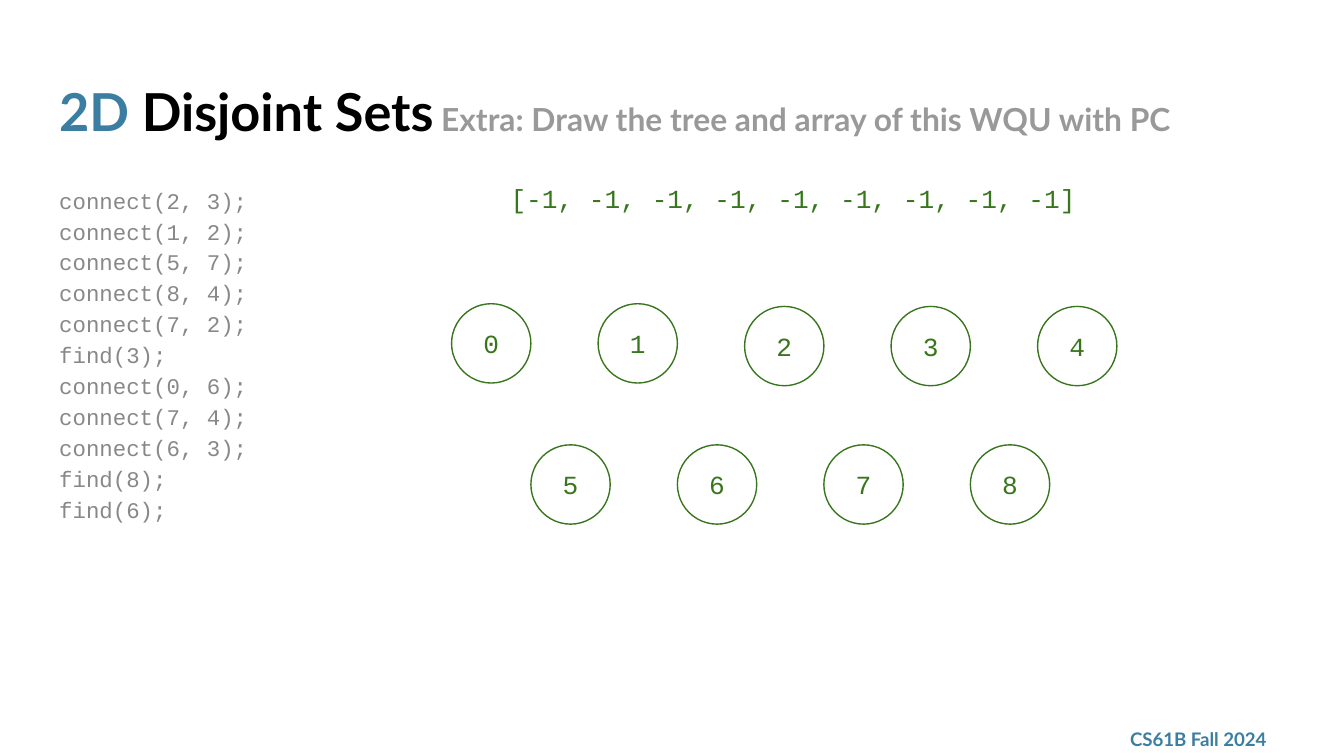
from pptx import Presentation
from pptx.dml.color import RGBColor
from pptx.enum.shapes import MSO_SHAPE as Preset
from pptx.enum.text import MSO_ANCHOR as Anchor, MSO_AUTO_SIZE as AutoSize, PP_ALIGN as Align
from pptx.oxml.xmlchemy import OxmlElement
from pptx.util import Inches, Pt

BLUE = RGBColor(0x3B, 0x7E, 0xA1)
BLACK = RGBColor(0, 0, 0)
GRAY = RGBColor(0x99, 0x99, 0x99)
CODE_GRAY = RGBColor(0x88, 0x88, 0x88)
GREEN = RGBColor(0x38, 0x76, 0x1D)
WHITE = RGBColor(0xFF, 0xFF, 0xFF)
SANS, MONO = "Lato", "Courier New"

TITLE = [
    ("2D ", 28, BLUE),
    ("Disjoint Sets", 28, BLACK),
    (" Extra: Draw the tree and array of this WQU with PC", 17, GRAY),
]
CALLS = [
    "connect(2, 3);", "connect(1, 2);", "connect(5, 7);", "connect(8, 4);",
    "connect(7, 2);", "find(3);", "connect(0, 6);", "connect(7, 4);",
    "connect(6, 3);", "find(8);", "find(6);",
]
PARENTS = [-1] * 9
FOOTER = "CS61B Fall 2024"

SLIDE_WIDTH = 10
SLIDE_HEIGHT = SLIDE_WIDTH * 9 / 16
MARGIN = 0.34
BODY_TOP = 1.26
NODE_SIZE = 0.59
NODE_PITCH = 1.09
NODE_ROWS = [
    (3.36, [(0, 2.26), (1, 2.26), (2, 2.28), (3, 2.28), (4, 2.28)]),
    (3.95, [(5, 3.31), (6, 3.31), (7, 3.31), (8, 3.31)]),
]


def place(shape, left, top, width, height):
    shape.left, shape.top = Inches(left), Inches(top)
    shape.width, shape.height = Inches(width), Inches(height)


def write(shape, paragraphs, font=SANS, bold=False, align=Align.LEFT,
          anchor=Anchor.TOP, spacing=1.0):
    frame = shape.text_frame
    frame.word_wrap = True
    frame.auto_size = AutoSize.NONE
    frame.vertical_anchor = anchor
    frame.margin_left = frame.margin_right = Inches(0.1)
    frame.margin_top = frame.margin_bottom = Inches(0.1)
    for index, runs in enumerate(paragraphs):
        paragraph = frame.add_paragraph() if index else frame.paragraphs[0]
        paragraph.alignment = align
        paragraph.line_spacing = spacing
        paragraph.space_before = paragraph.space_after = Pt(0)
        for text, size, color in runs:
            run = paragraph.add_run()
            run.text = text
            run.font.name, run.font.size, run.font.bold = font, Pt(size), bold
            run.font.color.rgb = color


def remove_bullets(shape):
    for paragraph in shape.text_frame.paragraphs:
        properties = paragraph._p.get_or_add_pPr()
        properties.set("marL", "0")
        properties.set("indent", "0")
        properties.append(OxmlElement("a:buNone"))


def add_outlined(slide, preset, box, line_color):
    shape = slide.shapes.add_shape(preset, *map(Inches, box))
    shape.shadow.inherit = False
    shape.fill.solid()
    shape.fill.fore_color.rgb = WHITE
    shape.line.color.rgb = line_color
    shape.line.width = Pt(0.75)
    return shape


def main():
    presentation = Presentation()
    presentation.slide_width = Inches(SLIDE_WIDTH)
    presentation.slide_height = Inches(SLIDE_HEIGHT)
    slide = presentation.slides.add_slide(presentation.slide_layouts[1])

    title, body = slide.placeholders
    place(title, MARGIN, 0.49, SLIDE_WIDTH - 2 * MARGIN, 0.63)
    write(title, [TITLE], bold=True)
    place(body, MARGIN, BODY_TOP, 2.53, 3.74)
    write(body, [[(call, 12, CODE_GRAY)] for call in CALLS], font=MONO, spacing=1.15)
    remove_bullets(body)

    footer = slide.shapes.add_textbox(*map(Inches, (8.31, 5.37, 1.35, 0.26)))
    write(footer, [[(FOOTER, 10, BLUE)]], bold=True, anchor=Anchor.MIDDLE)

    array = add_outlined(slide, Preset.RECTANGLE, (3.7, BODY_TOP, 4.95, 0.44), WHITE)
    array.fill.background()
    write(array, [[(str(PARENTS), 14, GREEN)]], font=MONO)

    for left, nodes in NODE_ROWS:
        for column, (label, top) in enumerate(nodes):
            box = (left + column * NODE_PITCH, top, NODE_SIZE, NODE_SIZE)
            node = add_outlined(slide, Preset.FLOWCHART_CONNECTOR, box, GREEN)
            write(node, [[(str(label), 14, GREEN)]], font=MONO,
                  align=Align.CENTER, anchor=Anchor.MIDDLE)

    presentation.save("out.pptx")


if __name__ == "__main__":
    main()
